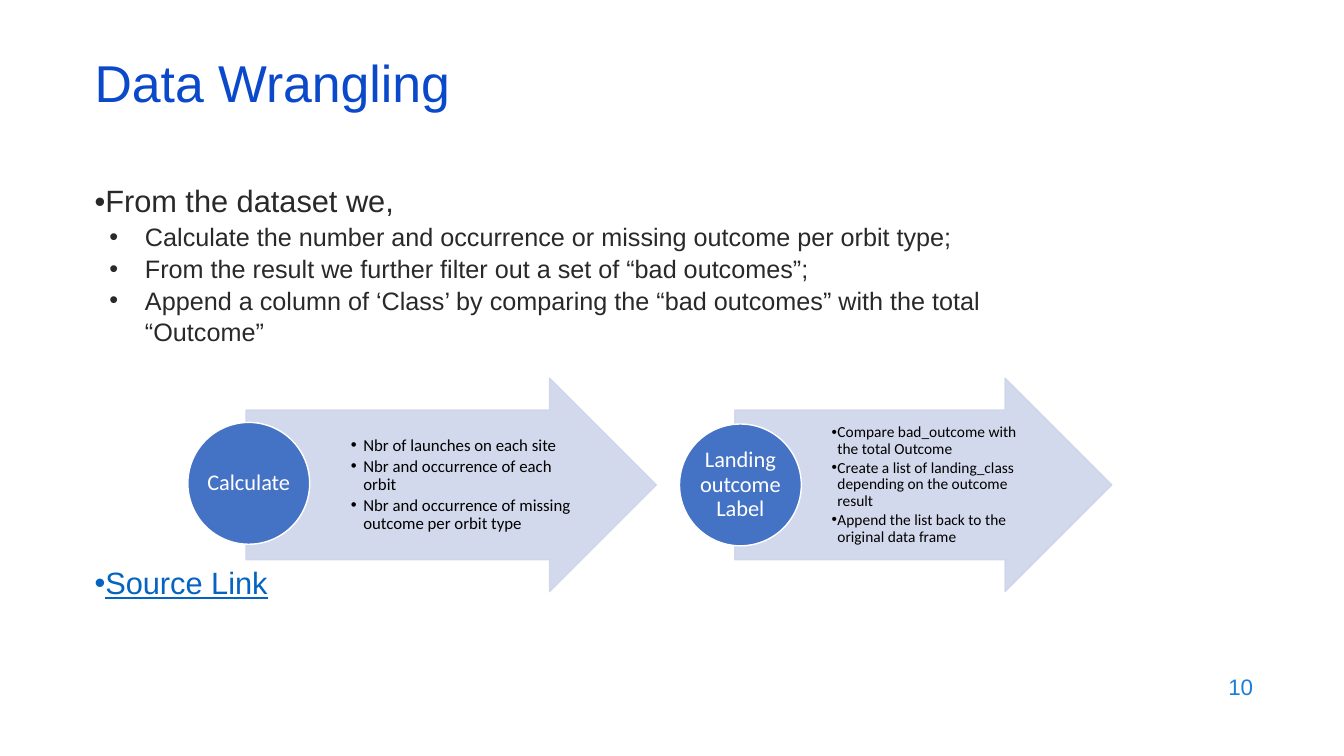
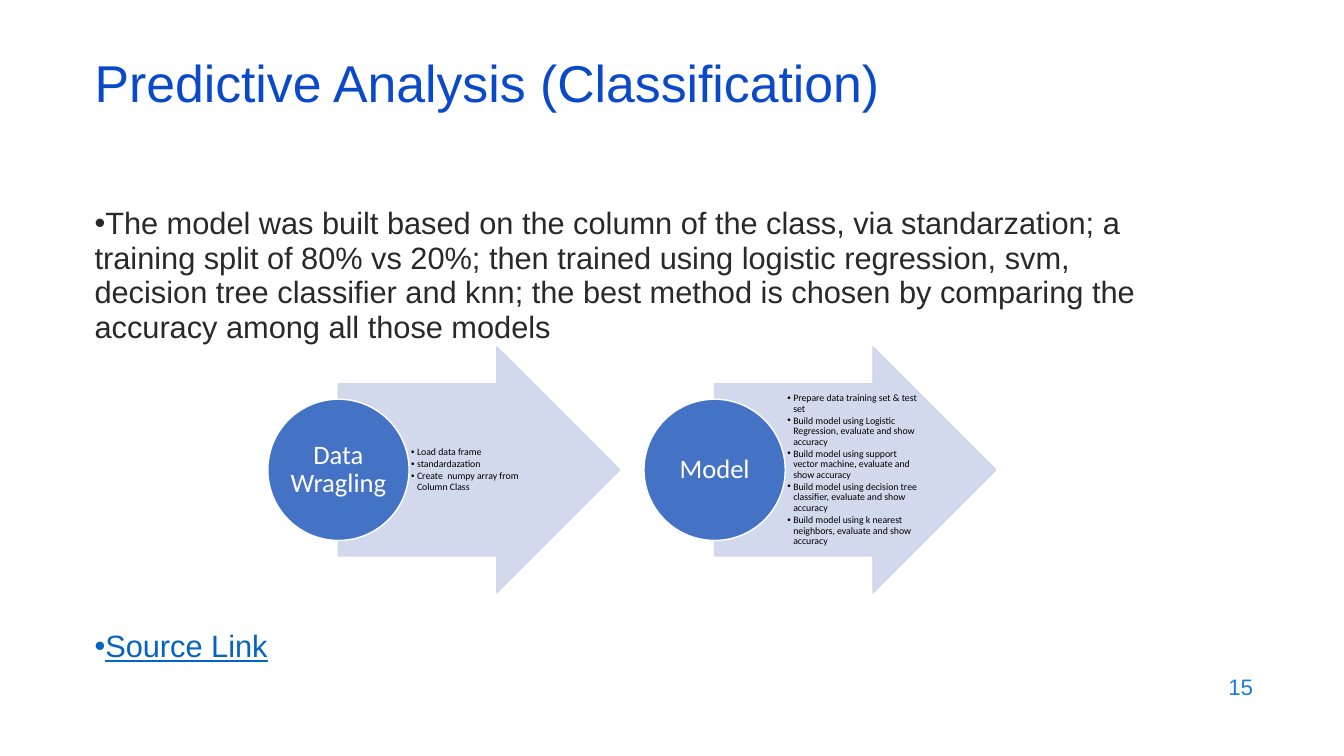
from dataclasses import dataclass

from lxml.etree import SubElement
from pptx import Presentation
from pptx.dml.color import RGBColor
from pptx.enum.shapes import MSO_SHAPE
from pptx.enum.text import MSO_ANCHOR, MSO_AUTO_SIZE, PP_ALIGN
from pptx.oxml.ns import qn
from pptx.util import Cm, Pt

# Shared style
HEADING, TEXT, LINK, NUMBER = "0B49CB", "292929", "0563C1", "1C7DDB"
ARROW, DISC, WHITE, BLACK = "CFD5EA", "4472C4", "FFFFFF", "000000"
BODY_FONT, DIAGRAM_FONT = "Arial", "Calibri"
LEFT = 2.13
TITLE_BOX = (LEFT, 1.5, 29.21, 1.52)
NUMBER_BOX = (24.21, 16.74, 7.62, 1.12)


@dataclass
class Step:
    """One arrow with its disc; lengths in centimetres."""
    box: tuple
    label: str
    items: list
    disc_shift: tuple = (0, 0)
    item_size: float = 12
    item_indent: float = 0.15


@dataclass
class Process:
    disc_size: float
    label_size: float
    steps: list


def colour(value):
    return RGBColor.from_string(value)


def lengths(box):
    return [Cm(value) for value in box]


def paint(fill, value, opacity=100):
    fill.solid()
    fill.fore_color.rgb = colour(value)
    if opacity < 100:
        # The solid fill is the only one inside the given properties
        for node in fill._xPr.findall(qn("a:solidFill")):
            SubElement(node[0], qn("a:alpha"), val=str(opacity * 1000))


def place(shape, box):
    shape.left, shape.top, shape.width, shape.height = lengths(box)


def set_frame(frame, anchor, margins=None):
    frame.word_wrap = True
    frame.auto_size = MSO_AUTO_SIZE.NONE
    frame.vertical_anchor = anchor
    if margins is not None:
        (frame.margin_left, frame.margin_top,
         frame.margin_right, frame.margin_bottom) = lengths(margins)


def set_bullet(para, margin, hanging):
    properties = para._p.get_or_add_pPr()
    properties.set("marL", str(Cm(margin)))
    properties.set("indent", str(-Cm(hanging)))
    SubElement(properties, qn("a:buFont"), typeface="Arial")
    SubElement(properties, qn("a:buChar"), char="•")


def write(para, text, font, size, value, spacing=1.0, before=0, after=0,
          align=PP_ALIGN.LEFT, underline=None):
    para.alignment = align
    para.line_spacing = spacing
    para.space_before, para.space_after = Pt(before), Pt(after)
    span = para.add_run()
    span.text = text
    span.font.name, span.font.size = font, Pt(size)
    span.font.color.rgb = colour(value)
    span.font.underline = underline


def next_para(frame, first):
    return frame.paragraphs[0] if first else frame.add_paragraph()


def add_page(deck, title, number):
    page = deck.slides.add_slide(deck.slide_layouts[1])
    place(page.shapes.title, TITLE_BOX)
    frame = page.shapes.title.text_frame
    set_frame(frame, MSO_ANCHOR.MIDDLE)
    write(frame.paragraphs[0], title, BODY_FONT, 37, HEADING, spacing=0.7)

    # Page number
    frame = page.shapes.add_textbox(*lengths(NUMBER_BOX)).text_frame
    set_frame(frame, MSO_ANCHOR.MIDDLE)
    write(frame.paragraphs[0], str(number), BODY_FONT, 16, NUMBER,
          align=PP_ALIGN.RIGHT)
    return page


def add_body(page, box, lead, points, link, link_gap):
    """Lead sentence, indented points, and a link below the diagram."""
    body = page.placeholders[1]
    place(body, box)
    frame = body.text_frame
    set_frame(frame, MSO_ANCHOR.TOP)

    para = frame.paragraphs[0]
    set_bullet(para, 0, 0)
    write(para, lead, BODY_FONT, 22, TEXT, spacing=0.94)
    for point in points:
        para = frame.add_paragraph()
        para.level = 1
        set_bullet(para, 1.27, 0.9)
        write(para, point, BODY_FONT, 18, TEXT, spacing=1.05)
    para = frame.add_paragraph()
    set_bullet(para, 0, 0)
    write(para, link, BODY_FONT, 22, LINK, spacing=0.94, before=link_gap,
          underline=True)


def add_step(page, step, disc_size, label_size):
    left, top, width, height = step.box

    # Arrow
    arrow = page.shapes.add_shape(MSO_SHAPE.RIGHT_ARROW, *lengths(step.box))
    arrow.adjustments[0], arrow.adjustments[1] = 0.7, 0.5
    arrow.shadow.inherit = False
    paint(arrow.fill, ARROW, 90)
    paint(arrow.line.fill, ARROW, 90)
    arrow.line.width = Pt(1)

    # List over the arrow's shaft
    list_box = (left + width * 0.25, top + height * 0.15,
                width * 0.75 - 1.88, height * 0.7)
    frame = page.shapes.add_textbox(*lengths(list_box)).text_frame
    set_frame(frame, MSO_ANCHOR.MIDDLE, (0.06, 0.02, 0.04, 0.02))
    for index, item in enumerate(step.items):
        para = next_para(frame, index == 0)
        set_bullet(para, step.item_indent, step.item_indent)
        write(para, item, DIAGRAM_FONT, step.item_size, BLACK, spacing=0.9,
              after=step.item_size * 0.15)

    # Disc centred on the arrow's tail
    shift_x, shift_y = step.disc_shift
    disc_box = (left - disc_size / 2 + shift_x,
                top + (height - disc_size) / 2 + shift_y,
                disc_size, disc_size)
    disc = page.shapes.add_shape(MSO_SHAPE.OVAL, *lengths(disc_box))
    disc.shadow.inherit = False
    paint(disc.fill, DISC)
    paint(disc.line.fill, WHITE)
    disc.line.width = Pt(1)
    set_frame(disc.text_frame, MSO_ANCHOR.MIDDLE, (0.02,) * 4)
    write(disc.text_frame.paragraphs[0], step.label, DIAGRAM_FONT, label_size,
          WHITE, spacing=0.9, align=PP_ALIGN.CENTER)


def add_process(page, process):
    for step in process.steps:
        add_step(page, step, process.disc_size, process.label_size)


def wrangling_page(deck):
    page = add_page(deck, "Data Wrangling", 10)
    add_body(page, (LEFT, 4.54, 24.94, 12), "From the dataset we,", [
        "Calculate the number and occurrence or missing outcome per orbit type;",
        "From the result we further filter out a set of “bad outcomes”;",
        "Append a column of ‘Class’ by comparing the “bad outcomes” with the "
        "total “Outcome”",
    ], "Source Link", 157)
    add_process(page, Process(3.07, 16, [
        Step((6.2, 9.53, 10.34, 5.38), "Calculate", [
            "Nbr of launches on each site",
            "Nbr and occurrence of each orbit",
            "Nbr and occurrence of missing outcome per orbit type",
        ], disc_shift=(0.07, -0.04), item_indent=0.31),
        Step((18.52, 9.53, 9.5, 5.38), "Landing outcome Label", [
            "Compare bad_outcome with the total Outcome",
            "Create a list of landing_class depending on the outcome result",
            "Append the list back to the original data frame",
        ], disc_shift=(0.14, 0), item_size=11),
    ]))


def analysis_page(deck):
    page = add_page(deck, "Predictive Analysis (Classification)", 15)
    add_body(page, (LEFT, 5.08, 27.08, 12.09),
             "The model was built based on the column of the class, via "
             "standarzation; a training split of 80% vs 20%; then trained "
             "using logistic regression, svm, decision tree classifier and "
             "knn; the best method is chosen by comparing the accuracy among "
             "all those models", [], "Source Link", 203)
    top, width, height = 8.74, 7.09, 6.2
    add_process(page, Process(3.56, 19, [
        Step((8.53, top, width, height), "Data Wragling", [
            "Load data frame",
            "standardazation",
            "Create  numpy array from Column Class",
        ], item_size=7),
        Step((18.01, top, width, height), "Model", [
            "Prepare data training set & test set",
            "Build model using Logistic Regression, evaluate and show accuracy",
            "Build model using support vector machine, evaluate and show accuracy",
            "Build model using decision tree classifier, evaluate and show accuracy",
            "Build model using k nearest neighbors, evaluate and show accuracy",
        ], item_size=7),
    ]))


def main():
    deck = Presentation()
    deck.slide_width, deck.slide_height = Cm(33.87), Cm(19.05)
    wrangling_page(deck)
    analysis_page(deck)
    deck.save("out.pptx")


if __name__ == "__main__":
    main()
